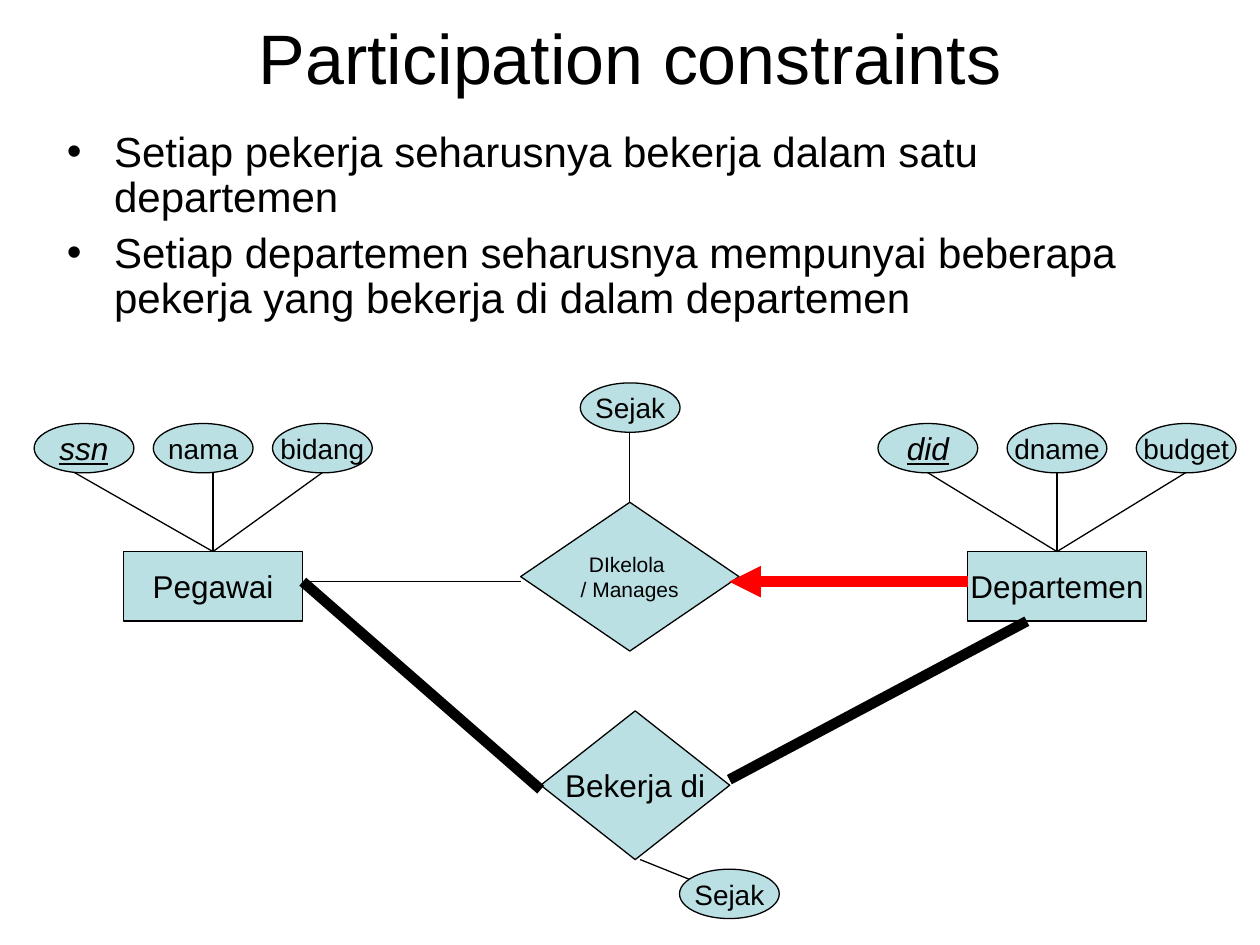
from dataclasses import dataclass

from lxml.etree import SubElement
from pptx import Presentation
from pptx.dml.color import RGBColor
from pptx.enum.shapes import MSO_CONNECTOR, MSO_SHAPE as Preset
from pptx.enum.text import MSO_ANCHOR as Anchor, MSO_AUTO_SIZE, PP_ALIGN as Align
from pptx.oxml.ns import qn
from pptx.shapes.autoshape import Shape
from pptx.shapes.connector import Connector
from pptx.slide import Slide
from pptx.util import Pt

BLACK = RGBColor(0x00, 0x00, 0x00)
RED = RGBColor(0xFF, 0x00, 0x00)
PALE_TEAL = RGBColor(0xBB, 0xE0, 0xE3)

KEY_FORMAT = {"italic": True, "underline": True}
ATTRIBUTE_SIZE = (57, 28.2)
ENTITY_SIZE = (102.2, 39.7)
ENTITY_TOP = 315.2
ATTRIBUTE_TOP = 242
ATTRIBUTE_BOTTOM = 270
TOP_SITE = 0


@dataclass
class Node:
    text: str
    preset: Preset
    left: float
    top: float
    size: tuple[float, float]
    points: float = 16
    is_key: bool = False


@dataclass
class Entity:
    name: str
    left: float
    attributes: list[str]
    first_attribute: float
    attribute_step: float
    link_ends: list[float]


@dataclass
class Link:
    start: tuple[float, float]
    end: tuple[float, float]
    width: float = 0.75
    color: RGBColor = BLACK
    arrow: bool = False


ENTITIES = [
    Entity("Pegawai", 70.6, ["ssn", "nama", "bidang"], 19.5, 68.1, [42.5, 121.7, 184.3]),
    Entity("Departemen", 552.9, ["did", "dname", "budget"], 501.7, 73.8, [530, 604, 677.7]),
]
MANAGES = Node("DIkelola \n/ Manages", Preset.DIAMOND, 297.5, 287, (124.8, 85), 12)
RELATION_NODES = [
    Node("Sejak", Preset.OVAL, 331.6, 218.8, ATTRIBUTE_SIZE),
    Node("Bekerja di", Preset.DIAMOND, 309, 406.2, (108, 85), 18),
    Node("Sejak", Preset.OVAL, 388.3, 496.7, ATTRIBUTE_SIZE),
]
LINKS = [
    Link((173, 332.4), (297.5, 332.4)),
    Link((552.9, 332.4), (416.8, 332.4), 6, RED, arrow=True),
    Link((365.8, 491.2), (394, 502.5)),
    Link((173, 332.4), (309, 451.2), 6),
    Link((416.8, 445.5), (586.8, 355), 6),
]


def apply_format(target, values: dict) -> None:
    for attribute, value in values.items():
        setattr(target, attribute, value)


def style_font(font, points: float) -> None:
    apply_format(font, {"name": "Arial", "size": Pt(points)})
    font.color.rgb = BLACK


def add_node(slide: Slide, node: Node) -> Shape:
    shape = slide.shapes.add_shape(
        node.preset, Pt(node.left), Pt(node.top), *map(Pt, node.size))
    shape.shadow.inherit = False
    shape.fill.solid()
    shape.fill.fore_color.rgb = PALE_TEAL
    shape.line.color.rgb = BLACK
    shape.line.width = Pt(0.75)
    frame = shape.text_frame
    apply_format(frame, {"text": node.text, "word_wrap": False,
                         "vertical_anchor": Anchor.MIDDLE})
    for paragraph in frame.paragraphs:
        paragraph.alignment = Align.CENTER
        for run in paragraph.runs:
            style_font(run.font, node.points)
            if node.is_key:
                apply_format(run.font, KEY_FORMAT)
    return shape


def add_link(slide: Slide, link: Link) -> Connector:
    connector = slide.shapes.add_connector(
        MSO_CONNECTOR.STRAIGHT, *map(Pt, link.start + link.end))
    connector.line.color.rgb = link.color
    connector.line.width = Pt(link.width)
    if link.arrow:
        SubElement(connector.line._get_or_add_ln(), qn("a:tailEnd"), type="triangle")
    SubElement(connector._element.spPr, qn("a:effectLst"))
    return connector


def add_entity(slide: Slide, entity: Entity) -> None:
    """Draw an entity box with its attributes; the first attribute is the key."""
    box = add_node(slide, Node(entity.name, Preset.RECTANGLE, entity.left,
                               ENTITY_TOP, ENTITY_SIZE, 18))
    top_middle = (entity.left + ENTITY_SIZE[0] / 2, ENTITY_TOP)
    for i, (attribute, end) in enumerate(zip(entity.attributes, entity.link_ends)):
        is_key = i == 0
        left = entity.first_attribute + i * entity.attribute_step
        add_node(slide, Node(attribute, Preset.OVAL, left, ATTRIBUTE_TOP,
                             ATTRIBUTE_SIZE, 18 if is_key else 16, is_key))
        link = add_link(slide, Link(top_middle, (end, ATTRIBUTE_BOTTOM)))
        link.begin_connect(box, TOP_SITE)


def fill_placeholder(placeholder, lines: list[str], box: dict, points: float,
                     anchor: Anchor, paragraph_format: dict) -> None:
    apply_format(placeholder, box)
    frame = placeholder.text_frame
    apply_format(frame, {"text": "\n".join(lines), "word_wrap": True,
                         "auto_size": MSO_AUTO_SIZE.NONE, "vertical_anchor": anchor})
    for paragraph in frame.paragraphs:
        apply_format(paragraph, paragraph_format)
        style_font(paragraph.runs[0].font, points)


def main() -> None:
    deck = Presentation()
    deck.slide_width, deck.slide_height = Pt(720), Pt(540)
    slide = deck.slides.add_slide(deck.slide_layouts[1])
    fill_placeholder(
        slide.shapes.title, ["Participation constraints"],
        {"left": Pt(36), "top": Pt(21.6), "width": Pt(648), "height": Pt(21.6)},
        40, Anchor.MIDDLE, {"alignment": Align.CENTER})
    rules = slide.placeholders[1]
    fill_placeholder(
        rules,
        ["Setiap pekerja seharusnya bekerja dalam satu departemen",
         "Setiap departemen seharusnya mempunyai beberapa pekerja yang bekerja di dalam departemen"],
        {"left": Pt(31), "top": Pt(71.3), "width": Pt(648), "height": Pt(121.7)},
        24, Anchor.TOP, {"line_spacing": 0.9, "space_before": Pt(6)})
    for paragraph in rules.text_frame.paragraphs:
        properties = paragraph._p.get_or_add_pPr()
        properties.set("marL", str(Pt(27)))
        properties.set("indent", str(-Pt(27)))
        SubElement(properties, qn("a:buChar"), char="•")

    for entity in ENTITIES:
        add_entity(slide, entity)
    manages = add_node(slide, MANAGES)
    for node in RELATION_NODES:
        add_node(slide, node)
    since = add_link(slide, Link((359.9, 287), (359.9, 247)))
    since.begin_connect(manages, TOP_SITE)
    for link in LINKS:
        add_link(slide, link)
    deck.save("out.pptx")


if __name__ == "__main__":
    main()
